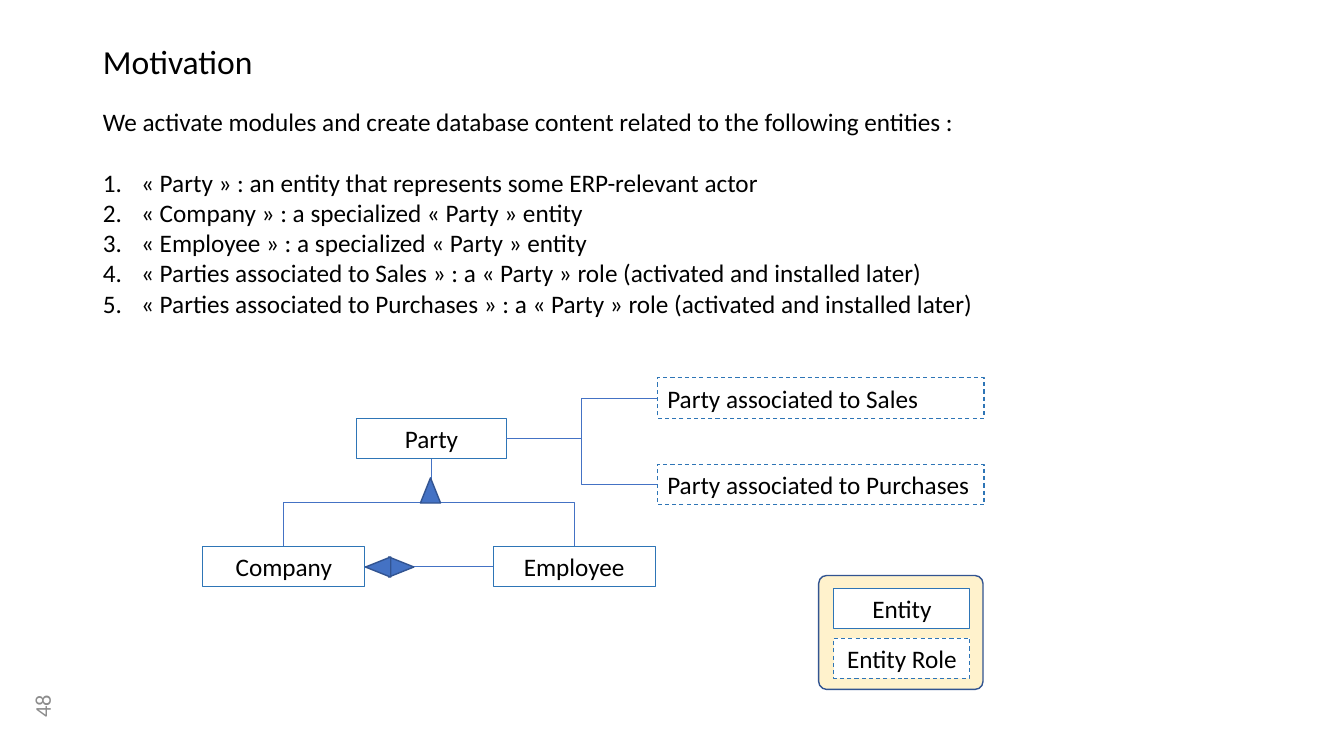
from dataclasses import dataclass
from typing import Optional

from lxml import etree
from pptx import Presentation
from pptx import util as u
from pptx.dml.color import RGBColor
from pptx.enum import dml, shapes, text
from pptx.oxml import ns

BLACK = RGBColor(0x00, 0x00, 0x00)
WHITE = RGBColor(0xFF, 0xFF, 0xFF)
GREY = RGBColor(0x8C, 0x8C, 0x8C)
BLUE = RGBColor(0x44, 0x72, 0xC4)
DARK_BLUE = RGBColor(0x32, 0x54, 0x91)
BOX_BLUE = RGBColor(0x2E, 0x75, 0xB6)
CREAM = RGBColor(0xFF, 0xF2, 0xCC)

FONT = "Calibri"
BOX_HEIGHT = 0.4
TOP, LEFT, BOTTOM, RIGHT = range(4)

INTRO = "We activate modules and create database content related to the following entities :"
ENTITIES = [
    "« Party » : an entity that represents some ERP-relevant actor",
    "« Company » : a specialized « Party » entity",
    "« Employee » : a specialized « Party » entity",
    "« Parties associated to Sales » : a « Party » role (activated and installed later)",
    "« Parties associated to Purchases » : a « Party » role (activated and installed later)",
]


@dataclass
class Box:
    label: str
    left: float
    top: float
    width: float
    role: bool = False
    centred: bool = True
    fill: Optional[RGBColor] = None


@dataclass
class Link:
    start: str
    start_site: int
    end: str
    end_site: int
    bent: bool = True


@dataclass
class Marker:
    left: float
    top: float
    rotation: int = 0


BOXES = [
    Box("Party", 3.54, 4.15, 1.48),
    Box("Employee", 4.89, 5.42, 1.61),
    Box("Company", 2.01, 5.42, 1.61),
    Box("Party associated to Sales", 6.52, 3.75, 3.24, role=True, centred=False),
    Box("Party associated to Purchases", 6.52, 4.61, 3.24, role=True, centred=False),
    Box("Entity", 8.27, 5.84, 1.35, fill=WHITE),
    Box("Entity Role", 8.27, 6.33, 1.35, role=True, fill=WHITE),
]
LINKS = [
    Link("Party", RIGHT, "Party associated to Sales", LEFT),
    Link("Party", RIGHT, "Party associated to Purchases", LEFT),
    Link("Party", BOTTOM, "Company", TOP),
    Link("Party", BOTTOM, "Employee", TOP),
    Link("Company", RIGHT, "Employee", LEFT, bent=False),
]
MARKERS = [Marker(4.17, 4.74), Marker(3.88, 5.5, 90), Marker(3.65, 5.5, 270)]


def place(sp, left: float, top: float, width: float, height: float) -> None:
    sp.left, sp.top = u.Inches(left), u.Inches(top)
    sp.width, sp.height = u.Inches(width), u.Inches(height)


def format_text(tf, size: int, color: RGBColor, align=text.PP_ALIGN.LEFT,
                anchor=text.MSO_ANCHOR.TOP) -> None:
    tf.word_wrap = True
    tf.auto_size = text.MSO_AUTO_SIZE.NONE
    tf.vertical_anchor = anchor
    for p in tf.paragraphs:
        p.alignment = align
        for r in p.runs:
            r.font.name, r.font.size = FONT, u.Pt(size)
            r.font.color.rgb = color


def set_bullet(p, numbered: bool) -> None:
    indent = u.Inches(0.38) if numbered else 0
    pPr = p._p.get_or_add_pPr()
    pPr.set("marL", str(indent))
    pPr.set("indent", str(-indent))
    if numbered:
        etree.SubElement(pPr, ns.qn("a:buFont"), typeface="+mj-lt")
        etree.SubElement(pPr, ns.qn("a:buAutoNum"), type="arabicPeriod")
    else:
        etree.SubElement(pPr, ns.qn("a:buNone"))


def add_outlined(s, kind, left: float, top: float, width: float, height: float,
                 fill: Optional[RGBColor], line: RGBColor, weight: float):
    sp = s.shapes.add_shape(kind, 0, 0, 0, 0)
    place(sp, left, top, width, height)
    sp.shadow.inherit = False
    if fill is None:
        sp.fill.background()
    else:
        sp.fill.solid()
        sp.fill.fore_color.rgb = fill
    sp.line.color.rgb = line
    sp.line.width = u.Pt(weight)
    return sp


def add_box(s, box: Box):
    sp = add_outlined(s, shapes.MSO_SHAPE.RECTANGLE, box.left, box.top, box.width,
                      BOX_HEIGHT, box.fill, BOX_BLUE, 0.75)
    if box.role:
        sp.line.dash_style = dml.MSO_LINE.DASH
    sp.text_frame.text = box.label
    align = text.PP_ALIGN.CENTER if box.centred else text.PP_ALIGN.LEFT
    format_text(sp.text_frame, 18, BLACK, align)
    return sp


def turn_upright(c) -> None:
    """Turn an elbow by 90 degrees so that it leaves and arrives vertically."""
    mid_x, mid_y = (c.begin_x + c.end_x) // 2, (c.begin_y + c.end_y) // 2
    dx, dy = (c.end_x - c.begin_x) // 2, (c.end_y - c.begin_y) // 2
    c.begin_x, c.begin_y = mid_x - dy, mid_y + dx
    c.end_x, c.end_y = mid_x + dy, mid_y - dx
    c._element.spPr.find(ns.qn("a:xfrm")).set("rot", str(90 * 60000))


def add_link(s, link: Link, boxes: dict) -> None:
    kind = shapes.MSO_CONNECTOR.ELBOW if link.bent else shapes.MSO_CONNECTOR.STRAIGHT
    c = s.shapes.add_connector(kind, 0, 0, 0, 0)
    c.begin_connect(boxes[link.start], link.start_site)
    c.end_connect(boxes[link.end], link.end_site)
    if link.start_site == BOTTOM:
        turn_upright(c)
    c.line.color.rgb = BLUE
    c.line.width = u.Pt(0.5)
    etree.SubElement(c._element.spPr, ns.qn("a:effectLst"))


def main() -> None:
    prs = Presentation()
    prs.slide_width, prs.slide_height = u.Inches(13.33), u.Inches(7.5)
    s = prs.slides.add_slide(prs.slide_layouts[1])

    # Title
    title = s.shapes.title
    place(title, 0.92, 0.4, 11.5, 0.51)
    title.text_frame.text = "Motivation"
    title.text_frame.paragraphs[0].line_spacing = 0.9
    format_text(title.text_frame, 24, BLACK)

    # Introduction and numbered entities
    body = s.placeholders[1]
    place(body, 0.92, 1, 11.74, 2.22)
    tf = body.text_frame
    tf.text = "\n".join([INTRO, *ENTITIES])
    for i, p in enumerate(tf.paragraphs):
        set_bullet(p, numbered=i > 0)
        p.space_before = u.Pt(0)
    tf.paragraphs[0].space_after = u.Pt(22)
    format_text(tf, 18, BLACK)

    # Slide number
    number = s.shapes.add_textbox(0, 0, 0, 0)
    place(number, 0.04, 6.81, 0.75, 0.4)
    number.rotation = 270
    number.text_frame.text = "48"
    format_text(number.text_frame, 16, GREY, text.PP_ALIGN.CENTER, text.MSO_ANCHOR.MIDDLE)

    # Legend panel
    panel = add_outlined(s, shapes.MSO_SHAPE.ROUNDED_RECTANGLE, 8.12, 5.71, 1.63, 1.13,
                         CREAM, DARK_BLUE, 1)
    panel.adjustments[0] = 0.07

    # Entity diagram and legend entries
    boxes = {box.label: add_box(s, box) for box in BOXES}
    for link in LINKS:
        add_link(s, link, boxes)
    for marker in MARKERS:
        sp = add_outlined(s, shapes.MSO_SHAPE.ISOSCELES_TRIANGLE, marker.left, marker.top,
                          0.2, 0.25, BLUE, DARK_BLUE, 1)
        sp.rotation = marker.rotation

    prs.save("out.pptx")


if __name__ == "__main__":
    main()
